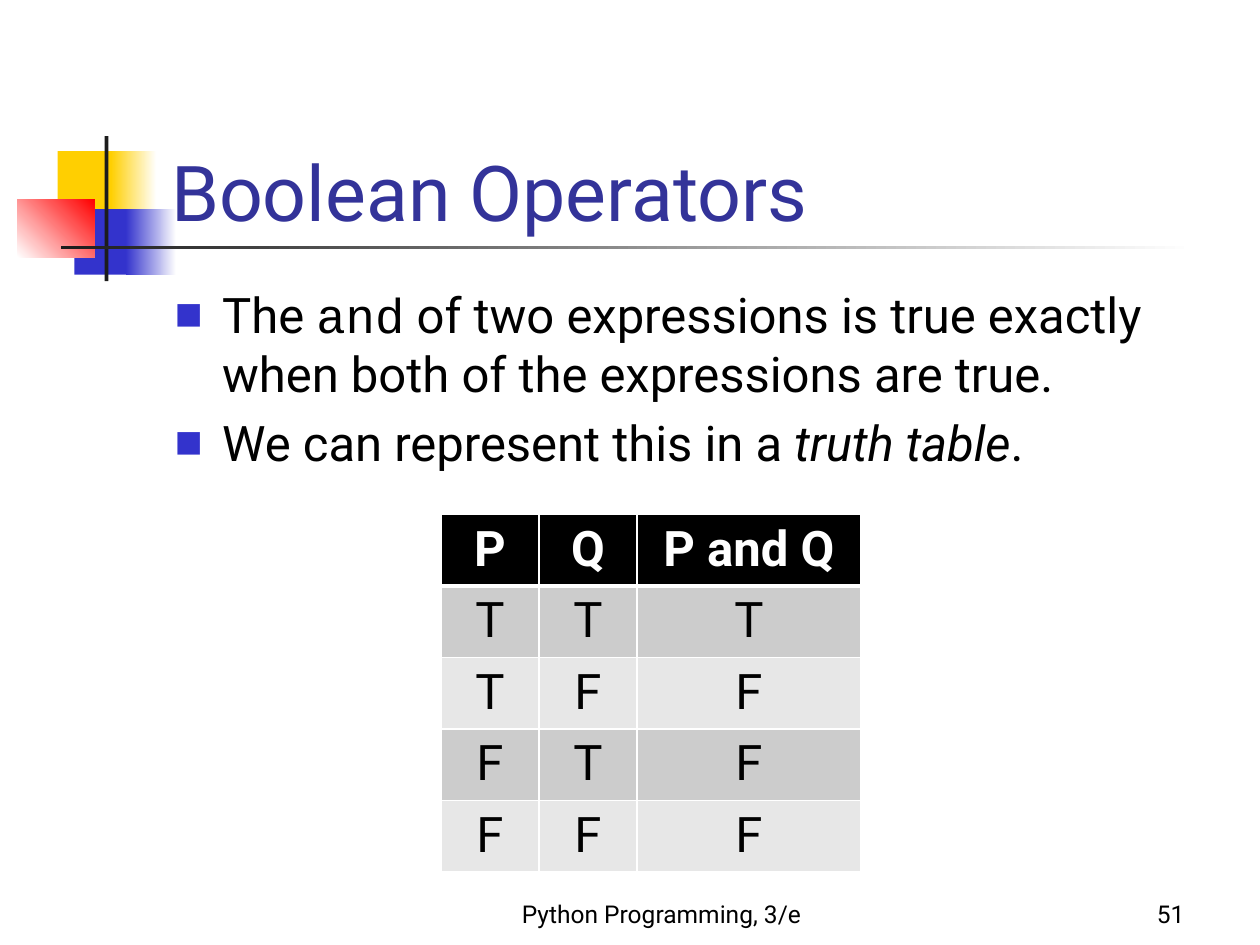
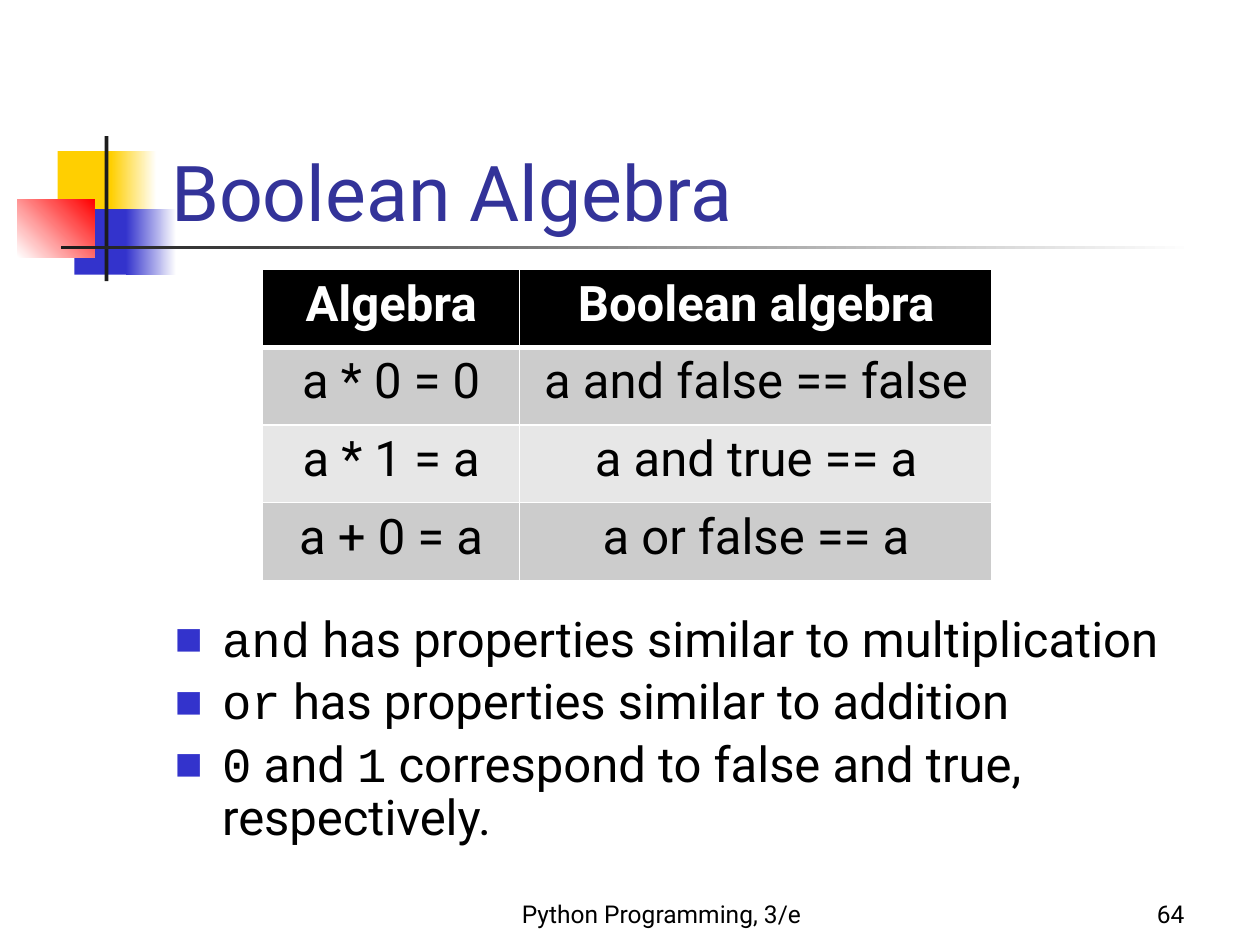
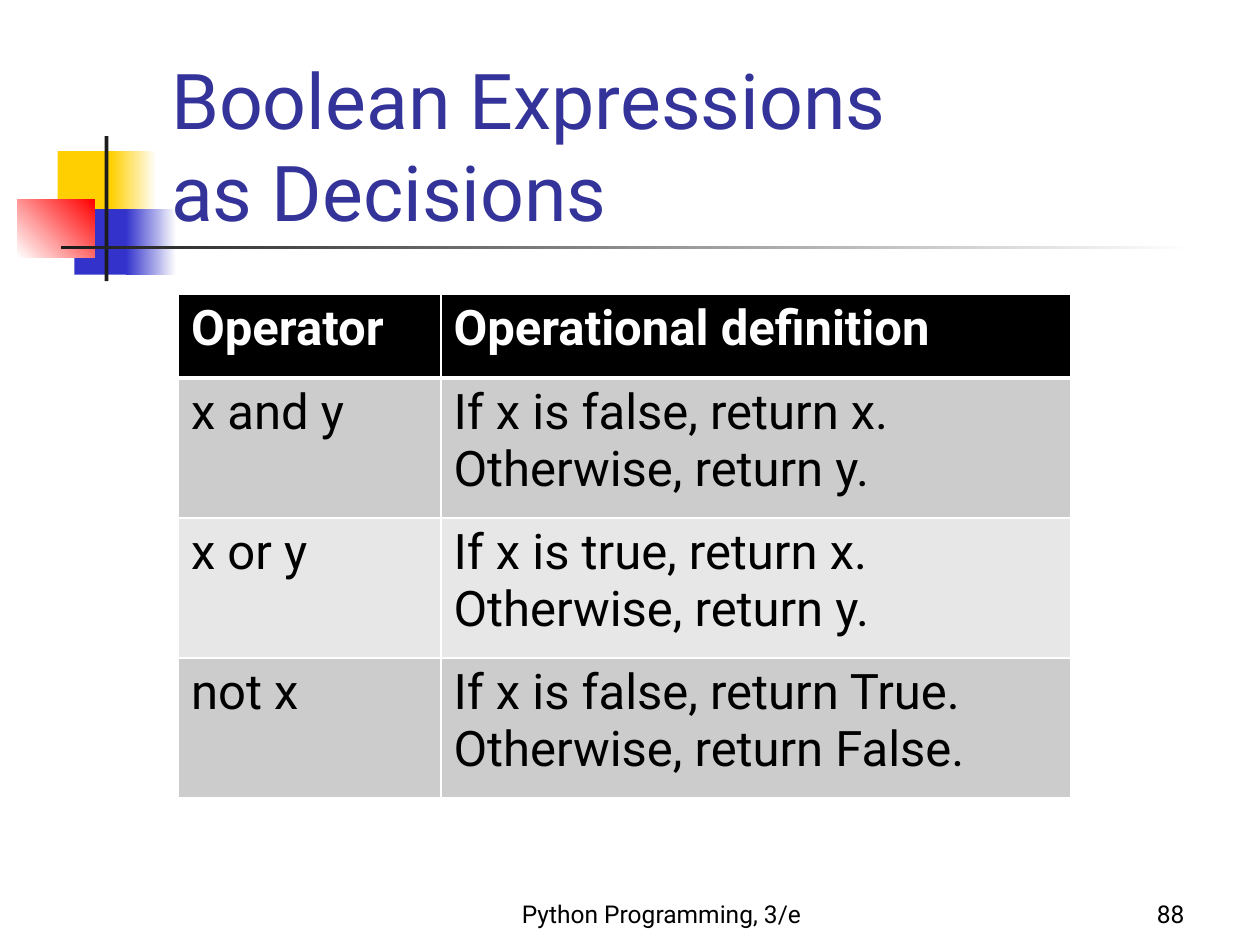
from lxml import etree
from pptx import Presentation
from pptx.dml.color import RGBColor
from pptx.enum.shapes import MSO_SHAPE
from pptx.enum.text import MSO_ANCHOR, PP_ALIGN
from pptx.oxml import parse_xml
from pptx.util import Pt

RECT = MSO_SHAPE.RECTANGLE
BOTTOM = MSO_ANCHOR.BOTTOM
LEFT, CENTER, RIGHT = PP_ALIGN.LEFT, PP_ALIGN.CENTER, PP_ALIGN.RIGHT

BLACK = RGBColor(0x00, 0x00, 0x00)
WHITE = RGBColor(0xFF, 0xFF, 0xFF)
INK = RGBColor(0x1C, 0x1C, 0x1C)
YELLOW = RGBColor(0xFF, 0xCF, 0x01)
BLUE = RGBColor(0x33, 0x33, 0xCC)
RED = RGBColor(0xFF, 0x00, 0x00)
TITLE_BLUE = RGBColor(0x33, 0x33, 0x99)
BANDS = [RGBColor(0xCC, 0xCC, 0xCC), RGBColor(0xE7, 0xE7, 0xE7)]

SANS, MONO = "Roboto", "Courier New"
BODY_SIZE = 28
NS = "http://schemas.openxmlformats.org/drawingml/2006/main"

# left, top, width, height, start colour, end colour (None is solid), angle
ORNAMENT = [
    (33, 86.4, 34.5, 37.4, YELLOW, None, 0),
    (63.4, 86.4, 26, 37.4, YELLOW, WHITE, 0),
    (42.5, 119.5, 33, 37.4, BLUE, None, 0),
    (72, 119.5, 28.8, 37.4, BLUE, WHITE, 0),
    (10, 113.8, 44, 33.1, WHITE, RED, 45),
    (59.8, 77.8, 2.2, 82.8, INK, None, 0),
    (34.6, 140.4, 648, 2.2, INK, WHITE, 0),
]

SLIDES = [
    {
        "title": "Boolean Operators",
        "number": 51,
        "body_box": (92.9, 159.1, 612, 324),
        "line_spacing": 1.0,
        "bullets": [
            [("The ", SANS, False), ("and", MONO, False),
             (" of two expressions is true exactly when both of the "
              "expressions are true.", SANS, False)],
            [("We can represent this in a ", SANS, False),
             ("truth table", SANS, True), (".", SANS, False)],
        ],
        "table_at": (252, 294),
        "cols": [56, 56, 128],
        "row_heights": [40] * 5,
        "align": CENTER,
        "cells": [("P", "Q", "P and Q"), ("T", "T", "T"), ("T", "F", "F"),
                  ("F", "T", "F"), ("F", "F", "F")],
    },
    {
        "title": "Boolean Algebra",
        "number": 64,
        "body_box": (92.9, 347.8, 612, 134.6),
        "line_spacing": 0.9,
        "bullets": [
            [("and", MONO, False),
             (" has properties similar to multiplication", SANS, False)],
            [("or", MONO, False),
             (" has properties similar to addition", SANS, False)],
            [("0", MONO, False), (" and ", SANS, False), ("1", MONO, False),
             (" correspond to false and true, respectively.", SANS, False)],
        ],
        "table_at": (150, 154),
        "cols": [147, 270],
        "row_heights": [44.4] * 4,
        "align": CENTER,
        "cells": [("Algebra", "Boolean algebra"),
                  ("a * 0 = 0", "a and false == false"),
                  ("a * 1 = a", "a and true == a"),
                  ("a + 0 = a", "a or false == a")],
    },
    {
        "title": "Boolean Expressions\nas Decisions",
        "number": 88,
        "bullets": [],
        "table_at": (102, 168),
        "cols": [150, 360],
        "row_heights": [48, 80, 80, 80],
        "align": LEFT,
        "cells": [
            ("Operator", "Operational definition"),
            ("x and y", "If x is false, return x. Otherwise, return y."),
            ("x or y", "If x is true, return x. Otherwise, return y."),
            ("not x", "If x is false, return True. Otherwise, return False."),
        ],
    },
]


def add_line_of_text(s, box, text, size, color, align):
    """Add a bottom-anchored text box holding one paragraph."""
    tf = s.shapes.add_textbox(*map(Pt, box)).text_frame
    tf.word_wrap = True
    tf.vertical_anchor = BOTTOM
    p = tf.paragraphs[0]
    p.text = text
    p.alignment = align
    for r in p.runs:
        r.font.name, r.font.size, r.font.color.rgb = SANS, Pt(size), color


def set_borders(cell, top, bottom):
    """Give a cell white borders, 1 pt at the sides."""
    tcPr = cell._tc.get_or_add_tcPr()
    widths = {"lnL": 1, "lnR": 1, "lnT": top, "lnB": bottom}
    for i, (tag, width) in enumerate(widths.items()):
        tcPr.insert(i, parse_xml(
            f'<a:{tag} xmlns:a="{NS}" w="{Pt(width)}"><a:solidFill>'
            f'<a:srgbClr val="{WHITE}"/></a:solidFill></a:{tag}>'))


prs = Presentation()
prs.slide_width, prs.slide_height = Pt(720), Pt(540)

for content in SLIDES:
    s = prs.slides.add_slide(prs.slide_layouts[6])

    for *box, start, end, angle in ORNAMENT:
        sp = s.shapes.add_shape(RECT, *map(Pt, box))
        sp.shadow.inherit = False
        sp.line.fill.background()
        if end is None:
            sp.fill.solid()
            sp.fill.fore_color.rgb = start
        else:
            sp.fill.gradient()
            sp.fill.gradient_angle = angle
            for stop, color in zip(sp.fill.gradient_stops, (start, end)):
                stop.color.rgb = color

    add_line_of_text(s, (264, 498, 228, 36), "Python Programming, 3/e",
                     14, BLACK, CENTER)
    add_line_of_text(s, (534, 498, 150, 36), str(content["number"]),
                     14, BLACK, RIGHT)
    add_line_of_text(s, (90.7, 49, 613.4, 90), content["title"],
                     44, TITLE_BLUE, LEFT)

    if content["bullets"]:
        tf = s.shapes.add_textbox(*map(Pt, content["body_box"])).text_frame
        tf.word_wrap = True
        for i, runs in enumerate(content["bullets"]):
            p = tf.add_paragraph() if i else tf.paragraphs[0]
            p.line_spacing = content["line_spacing"]
            p.space_before = Pt(0.2 * BODY_SIZE if i else 0)
            pPr = p._p.get_or_add_pPr()
            pPr.set("marL", str(Pt(27)))
            pPr.set("indent", str(Pt(-27)))
            buClr = etree.SubElement(pPr, f"{{{NS}}}buClr")
            etree.SubElement(buClr, f"{{{NS}}}srgbClr", val=str(BLUE))
            etree.SubElement(pPr, f"{{{NS}}}buSzPct", val="60000")
            etree.SubElement(pPr, f"{{{NS}}}buFont", typeface=SANS)
            etree.SubElement(pPr, f"{{{NS}}}buChar", char="■")
            for text, font, italic in runs:
                r = p.add_run()
                r.text = text
                r.font.name, r.font.size = font, Pt(BODY_SIZE)
                r.font.italic = italic
                r.font.color.rgb = BLACK

    cols, heights = content["cols"], content["row_heights"]
    table = s.shapes.add_table(
        len(heights), len(cols), *map(Pt, content["table_at"]),
        Pt(sum(cols)), Pt(sum(heights))).table
    for col, width in zip(table.columns, cols):
        col.width = Pt(width)
    for i, row in enumerate(table.rows):
        row.height = Pt(heights[i])
        header = i == 0
        for cell, text in zip(row.cells, content["cells"][i]):
            cell.fill.solid()
            cell.fill.fore_color.rgb = BLACK if header else BANDS[(i - 1) % 2]
            set_borders(cell, 3 if i == 1 else 1, 3 if header else 1)
            p = cell.text_frame.paragraphs[0]
            p.text = text
            p.alignment = content["align"]
            font = p.runs[0].font
            font.name, font.size, font.bold = SANS, Pt(BODY_SIZE), header
            font.color.rgb = WHITE if header else BLACK

prs.save("out.pptx")
